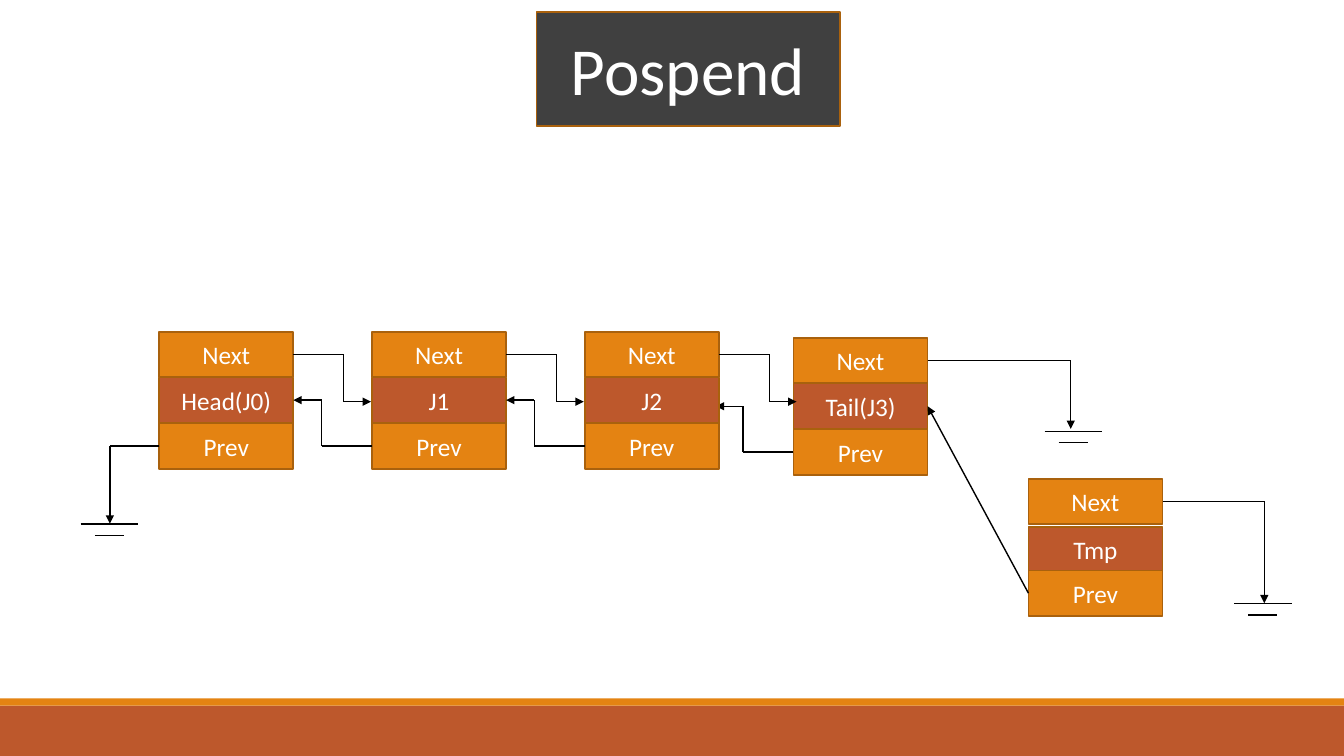
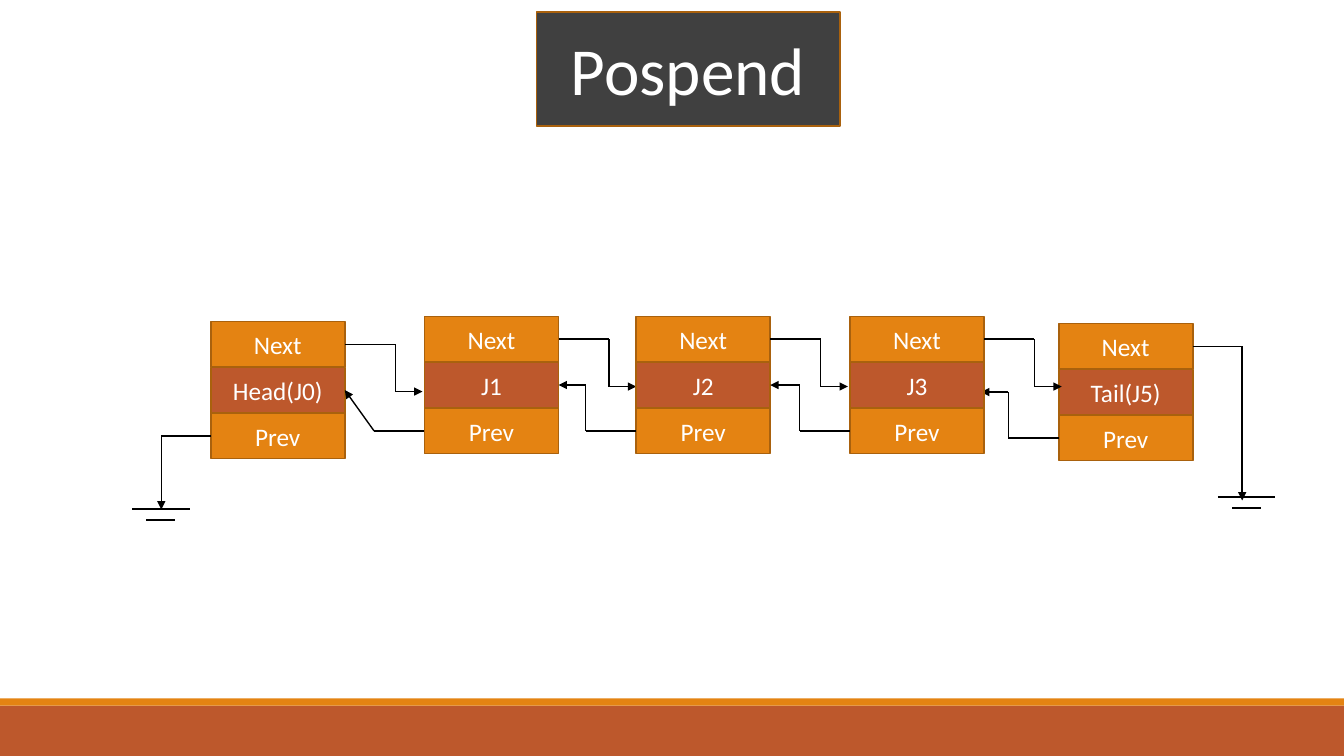
"""Build two slides that show a node being appended to a doubly linked list."""
from dataclasses import dataclass
from itertools import pairwise

from lxml.etree import SubElement
from pptx import Presentation
from pptx.dml.color import RGBColor
from pptx.enum.shapes import MSO_CONNECTOR, MSO_SHAPE
from pptx.enum.text import MSO_ANCHOR, MSO_AUTO_SIZE, PP_ALIGN
from pptx.oxml.ns import qn
from pptx.shapes.autoshape import Shape
from pptx.shapes.connector import Connector
from pptx.slide import Slide, SlideLayout
from pptx.util import Inches, Pt

COLORS = {
    "rust": "BD582C",
    "orange": "E48312",
    "outline": "A9610D",
    "charcoal": "404040",
    "white": "FFFFFF",
    "black": "000000",
}
FONT = "Calibri"
BOX_WIDTH, BOX_HEIGHT, ROW_PITCH = 1.33, 0.45, 0.455
LEFT_SIDE, RIGHT_SIDE = 1, 3

Point = tuple[float, float]


@dataclass(frozen=True)
class Link:
    """An arrow from a node, bending at offsets from where it starts."""

    row: str
    bends: tuple[Point, ...] = ()
    target: str | None = None


@dataclass(frozen=True)
class Node:
    """A list node made of three stacked boxes, with its arrows."""

    name: str
    left: float
    top: float
    links: tuple[Link, ...]
    name_shift: float = 0


@dataclass(frozen=True)
class Diagram:
    """The nodes and the ground symbols of one slide."""

    nodes: tuple[Node, ...]
    grounds: tuple[Point, ...]


def drop(across: float, down: float) -> tuple[Point, ...]:
    """Return the bends of an arrow that goes sideways and then down."""
    return (across, 0), (across, down)


STUB = ((-0.5, 0),)
RISE = (*STUB, (-0.5, -ROW_PITCH))
NEXT = Link("Next", ((0.5, 0), (0.5, 0.47), (0.77, 0.47)))
LOOSE_PREV = Link("Prev", (*RISE, (-0.77, -ROW_PITCH)))

DIAGRAMS = (
    Diagram(
        nodes=(
            Node("Head(J0)", 1.58, 3.29, (NEXT, Link("Prev", drop(-0.49, 0.77)))),
            Node("J1", 3.69, 3.29, (NEXT, Link("Prev", RISE, "Head(J0)"))),
            Node("Tail(J3)", 7.87, 3.35, (Link("Next", drop(1.42, 0.68)), LOOSE_PREV)),
            Node("Tmp", 10.2, 4.75,
                 (Link("Next", drop(1.01, 1.01)), Link("Prev", target="Tail(J3)")), 0.02),
            Node("J2", 5.8, 3.29, (NEXT, Link("Prev", RISE, "J1"))),
        ),
        grounds=((0.8, 5.2), (10.36, 4.28), (12.24, 5.99)),
    ),
    Diagram(
        nodes=(
            Node("Head(J0)", 2.09, 3.19, (NEXT, Link("Prev", drop(-0.49, 0.73)))),
            Node("J1", 4.21, 3.14, (NEXT, Link("Prev", STUB, "Head(J0)"))),
            Node("J2", 6.31, 3.14, (NEXT, Link("Prev", RISE, "J1"))),
            Node("Tail(J5)", 10.5, 3.21, (Link("Next", drop(0.49, 1.53)), LOOSE_PREV)),
            Node("J3", 8.43, 3.14, (NEXT, Link("Prev", RISE, "J2"))),
        ),
        grounds=((1.31, 5.05), (12.08, 4.93)),
    ),
)


def color(name: str) -> RGBColor:
    """Return a palette colour."""
    return RGBColor.from_string(COLORS[name])


def style_box(shape: Shape, fill: str, text: str, size: int) -> None:
    """Give a box its fill, outline and centred text."""
    shape.fill.solid()
    shape.fill.fore_color.rgb = color(fill)
    shape.line.color.rgb = color("outline")
    shape.line.width = Pt(1.25)
    frame = shape.text_frame
    frame.text = text
    frame.word_wrap = True
    frame.auto_size = MSO_AUTO_SIZE.NONE
    frame.vertical_anchor = MSO_ANCHOR.MIDDLE
    paragraph = frame.paragraphs[0]
    paragraph.alignment = PP_ALIGN.CENTER
    paragraph.font.name = FONT
    paragraph.font.size = Pt(size)
    paragraph.font.color.rgb = color("white")


def add_rectangle(slide: Slide, left: float, top: float, width: float, height: float) -> Shape:
    """Add a rectangle without a shadow."""
    shape = slide.shapes.add_shape(
        MSO_SHAPE.RECTANGLE, Inches(left), Inches(top), Inches(width), Inches(height))
    shape.shadow.inherit = False
    return shape


def add_line(slide: Slide, start: Point, end: Point, arrow: bool = False) -> Connector:
    """Add a thin black line, with an arrowhead at its end if asked."""
    connector = slide.shapes.add_connector(
        MSO_CONNECTOR.STRAIGHT, *(Inches(length) for length in (*start, *end)))
    connector.line.color.rgb = color("black")
    connector.line.width = Pt(1)
    properties = connector.element.spPr
    if arrow:
        SubElement(properties.find(qn("a:ln")), qn("a:tailEnd"), type="triangle")
    SubElement(properties, qn("a:effectLst"))
    return connector


def add_node(slide: Slide, node: Node) -> dict[str, Shape]:
    """Draw the three boxes of a node and return them by row."""
    rows = (
        ("Next", "Next", "orange", 0),
        ("Name", node.name, "rust", node.name_shift),
        ("Prev", "Prev", "orange", 0),
    )
    boxes = {}
    for index, (row, text, fill, shift) in enumerate(rows):
        top = node.top + index * ROW_PITCH + shift
        boxes[row] = add_rectangle(slide, node.left, top, BOX_WIDTH, BOX_HEIGHT)
        style_box(boxes[row], fill, text, 18)
    return boxes


def add_link(slide: Slide, link: Link, boxes: dict[str, Shape], target: Shape | None) -> None:
    """Draw an arrow from a node's row through its bends to its target."""
    source = boxes[link.row]
    side = RIGHT_SIDE if link.row == "Next" else LEFT_SIDE
    left = source.left + (source.width if side == RIGHT_SIDE else 0)
    start = (left / Inches(1), (source.top + source.height / 2) / Inches(1))
    points = [start, *((start[0] + across, start[1] + down) for across, down in link.bends)]
    if target is not None:
        points.append(((target.left + target.width) / Inches(1),
                       (target.top + target.height / 2) / Inches(1)))
    segments = list(pairwise(points))
    connectors = [
        add_line(slide, begin, end, arrow=index == len(segments))
        for index, (begin, end) in enumerate(segments, start=1)
    ]
    connectors[0].begin_connect(source, side)
    if target is not None:
        connectors[-1].end_connect(target, RIGHT_SIDE)


def add_ground(slide: Slide, left: float, top: float) -> None:
    """Draw a ground symbol, a long line over a short one."""
    for inset, down in ((0, 0), (0.14, 0.11)):
        add_line(slide, (left + inset, top + down), (left + 0.57 - inset, top + down))


def add_bands(slide: Slide, layout: SlideLayout) -> None:
    """Put the two bottom bands on the layout."""
    for fill, top, height in (("rust", 7, 0.5), ("orange", 6.93, 0.07)):
        band = add_rectangle(slide, 0, top, 13.33, height)
        band.fill.solid()
        band.fill.fore_color.rgb = color(fill)
        band.line.fill.background()
        layout.shapes.element.append(band.element)


def add_title(slide: Slide) -> None:
    """Place and format the title."""
    title = slide.shapes.title
    title.left, title.top = Inches(5.32), Inches(0.12)
    title.width, title.height = Inches(3.01), Inches(1.13)
    style_box(title, "charcoal", "Pospend", 48)


def add_diagram(slide: Slide, diagram: Diagram) -> None:
    """Draw the nodes with their arrows, then the ground symbols."""
    drawn: dict[str, dict[str, Shape]] = {}
    for node in diagram.nodes:
        drawn[node.name] = add_node(slide, node)
        for link in node.links:
            target = drawn[link.target]["Name"] if link.target else None
            add_link(slide, link, drawn[node.name], target)
    for left, top in diagram.grounds:
        add_ground(slide, left, top)


def main() -> None:
    """Build and save the presentation."""
    presentation = Presentation()
    presentation.slide_width, presentation.slide_height = Inches(13.33), Inches(7.5)
    layout = presentation.slide_layouts[5]
    for index, diagram in enumerate(DIAGRAMS):
        slide = presentation.slides.add_slide(layout)
        if index == 0:
            add_bands(slide, layout)
        add_title(slide)
        add_diagram(slide, diagram)
    presentation.save("out.pptx")


if __name__ == "__main__":
    main()
